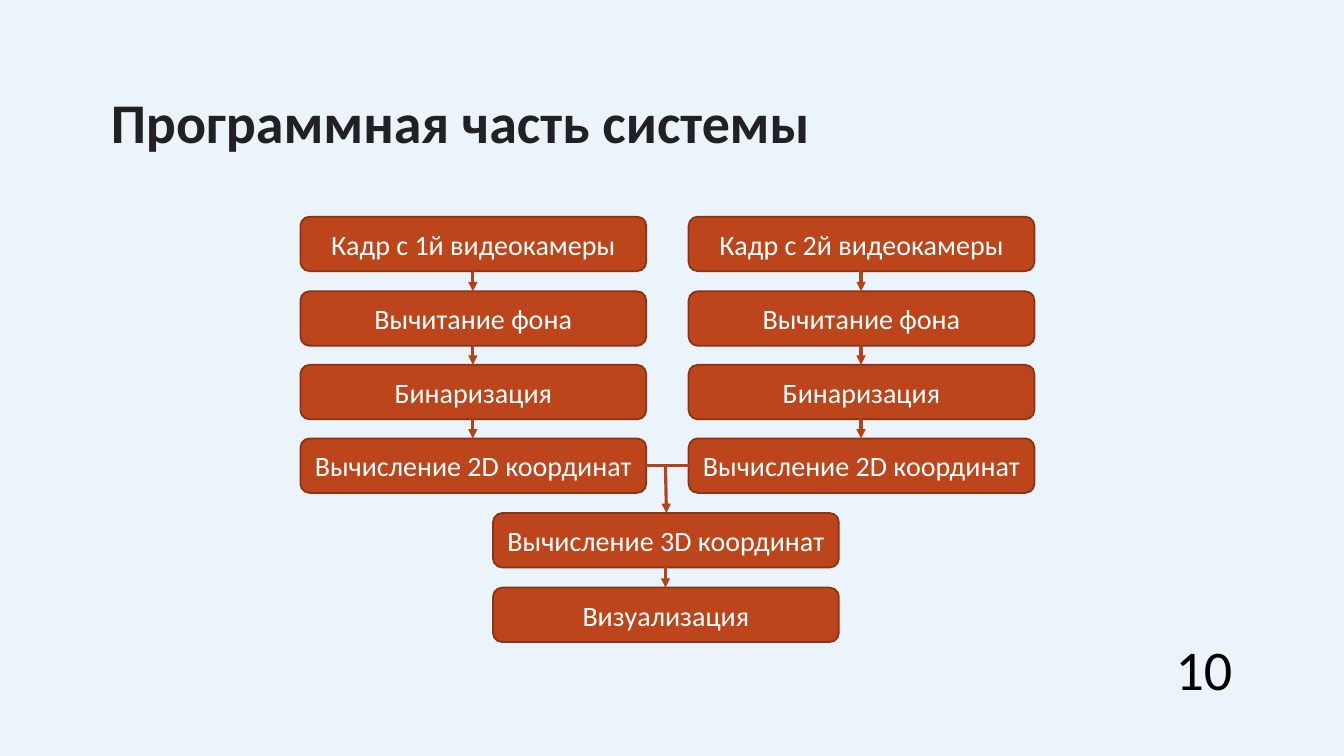
import pptx
import pptx.util
import pptx.dml.color
import pptx.enum.shapes
import pptx.enum.text
import pptx.oxml
import pptx.oxml.ns

PX = 9144  # EMU, 100 px to the inch
FONT = "Calibri"
COLORS = {
    "background": "EBF4FA",
    "title": "212123",
    "number": "000000",
    "box": "BC451B",
    "box_line": "8B3314",
    "box_text": "FFFFFF",
    "arrow": "B4421A",
}
BOX_W, BOX_H, ROW_STEP = 343, 54, 73.5
CAMERA_STEPS = ["Кадр с {}й видеокамеры", "Вычитание фона", "Бинаризация",
                "Вычисление 2D координат"]
RESULT_STEPS = ["Вычисление 3D координат", "Визуализация"]
ALIGN = pptx.enum.text.PP_ALIGN


def px(n):
    return pptx.util.Emu(n * PX)


def color(name):
    return pptx.dml.color.RGBColor.from_string(COLORS[name])


def drawing_xml(xml):
    """Parse one DrawingML element whose tag lacks its namespace declaration."""
    return pptx.oxml.parse_xml(xml.replace(">", f' {pptx.oxml.ns.nsdecls("a")}>', 1))


def write(sp, text, size, color_name, align, wrap=True):
    tf = sp.text_frame
    tf.word_wrap = wrap
    tf.vertical_anchor = pptx.enum.text.MSO_ANCHOR.MIDDLE
    p = tf.paragraphs[0]
    p.alignment = align
    r = p.add_run()
    r.text = text
    r.font.name = FONT
    r.font.size = pptx.util.Pt(size)
    r.font.color.rgb = color(color_name)
    return r


def add_title(s, x, y, w, h):
    sp = s.shapes.add_textbox(px(x), px(y), px(w), px(h))
    r = write(sp, "Программная часть системы", 40, "title", ALIGN.LEFT)
    r.font.bold = True
    props = r.font._element
    props.insert(0, drawing_xml(
        '<a:ln w="9525"><a:solidFill><a:srgbClr val="FFFFFF">'
        '<a:alpha val="10000"/></a:srgbClr></a:solidFill></a:ln>'))
    props.find(pptx.oxml.ns.qn("a:solidFill")).addnext(drawing_xml(
        '<a:effectLst><a:outerShdw blurRad="38100" dist="25400" dir="2700000">'
        '<a:srgbClr val="000000"><a:alpha val="50000"/></a:srgbClr>'
        '</a:outerShdw></a:effectLst>'))


def add_slide_number(s, x, y, w, h):
    sp = s.shapes.add_textbox(px(x), px(y), px(w), px(h))
    write(sp, "10", 40, "number", ALIGN.RIGHT)


def add_box(s, x, y, text):
    sp = s.shapes.add_shape(pptx.enum.shapes.MSO_SHAPE.ROUNDED_RECTANGLE,
                            px(x), px(y), px(BOX_W), px(BOX_H))
    sp.shadow.inherit = False
    sp.fill.solid()
    sp.fill.fore_color.rgb = color("box")
    sp.line.color.rgb = color("box_line")
    sp.line.width = pptx.util.Pt(1.25)
    write(sp, text, 20, "box_text", ALIGN.CENTER, wrap=False)


def add_line(s, x1, y1, x2, y2, arrow=True):
    c = s.shapes.add_connector(pptx.enum.shapes.MSO_CONNECTOR.STRAIGHT,
                               px(x1), px(y1), px(x2), px(y2))
    c.line.color.rgb = color("arrow")
    c.line.width = pptx.util.Pt(2.25)
    if arrow:
        c.line._get_or_add_ln().append(drawing_xml('<a:tailEnd type="triangle"></a:tailEnd>'))
    c._element.spPr.append(drawing_xml("<a:effectLst></a:effectLst>"))


def add_chain(s, x, y, steps):
    """Stack boxes downwards, each joined to the next by an arrow."""
    tops = [y + round(i * ROW_STEP) for i in range(len(steps))]
    middle = x + BOX_W // 2
    for top, text in zip(tops, steps):
        add_box(s, x, top, text)
    for top, next_top in zip(tops, tops[1:]):
        add_line(s, middle, top + BOX_H, middle, next_top)


def add_flowchart(s, x, y):
    right, result_x = x + 385, x + 191
    result_y = y + round(len(CAMERA_STEPS) * ROW_STEP)
    for camera, left in enumerate((x, right), start=1):
        add_chain(s, left, y, [step.format(camera) for step in CAMERA_STEPS])
    add_chain(s, result_x, result_y, RESULT_STEPS)

    join_y = y + round((len(CAMERA_STEPS) - 1) * ROW_STEP) + BOX_H // 2
    join_x = result_x + BOX_W // 2
    add_line(s, x + BOX_W, join_y, right, join_y, arrow=False)
    add_line(s, join_x, join_y, join_x + 1, result_y)


def main():
    prs = pptx.Presentation()
    prs.slide_width, prs.slide_height = px(1333), px(750)
    s = prs.slides.add_slide(prs.slide_layouts[6])
    s.background.fill.solid()
    s.background.fill.fore_color.rgb = color("background")
    add_title(s, 100, 67, 1132, 106)
    add_slide_number(s, 1150, 643, 82, 40)
    add_flowchart(s, 298, 215)
    prs.save("out.pptx")


if __name__ == "__main__":
    main()
